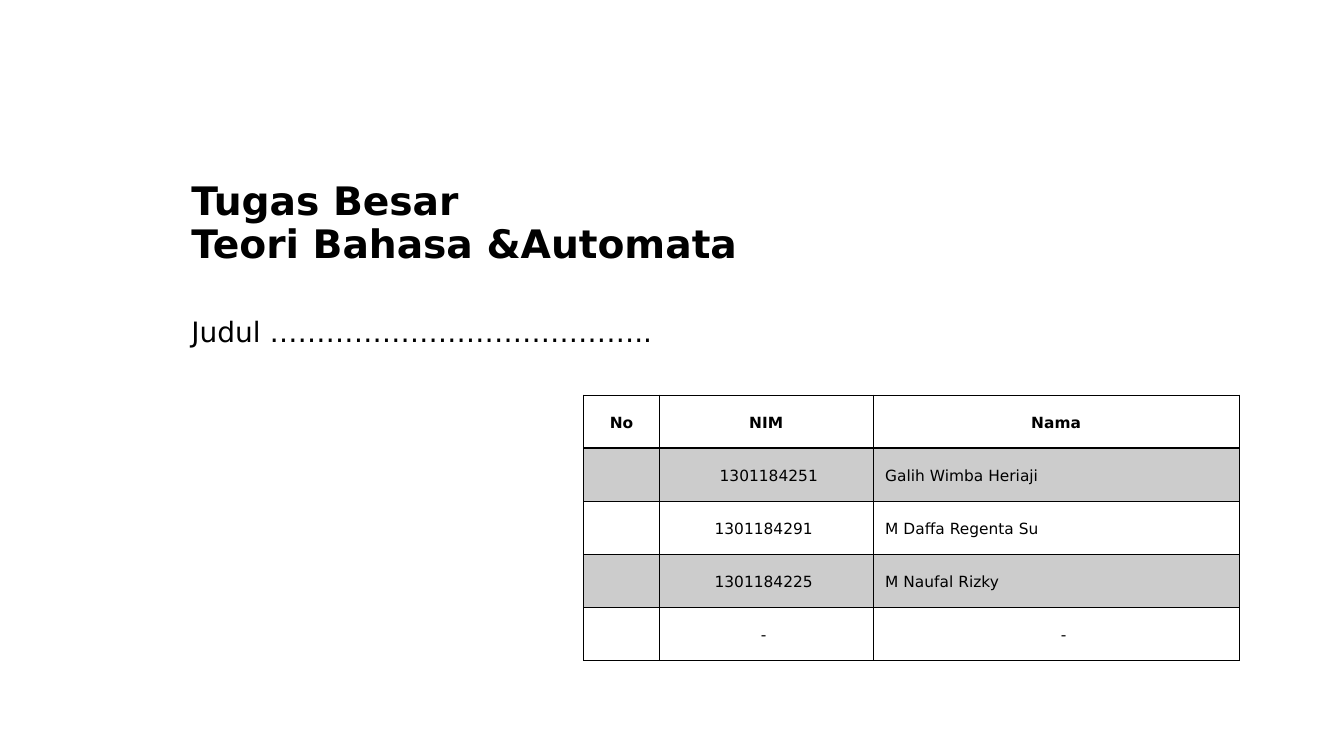
from dataclasses import dataclass

from lxml import etree
from pptx import Presentation
from pptx.dml.color import RGBColor
from pptx.enum.shapes import MSO_SHAPE
from pptx.enum.text import MSO_ANCHOR, PP_ALIGN
from pptx.oxml.ns import qn
from pptx.util import Inches, Pt

LEFT, CENTER = PP_ALIGN.LEFT, PP_ALIGN.CENTER
TOP, MIDDLE = MSO_ANCHOR.TOP, MSO_ANCHOR.MIDDLE
RECTANGLE = MSO_SHAPE.RECTANGLE
SLIDE_WIDTH, SLIDE_HEIGHT = 13.33, 7.5
HEADER_HEIGHT = 1.39


@dataclass(frozen=True)
class Theme:
    font: str = "DejaVu Sans"
    ink: str = "000000"
    paper: str = "FFFFFF"
    band: str = "CCCCCC"
    title_size: int = 28
    subtitle_size: int = 20
    table_size: int = 11
    thin_line: int = 1
    thick_line: int = 2
    cell_margin: float = 0.07


def write_text(frame, text, *, font, size, color, bold=False, align=LEFT, spacing=0.9):
    paragraph = frame.paragraphs[0]
    paragraph.text = text
    paragraph.alignment = align
    paragraph.line_spacing = spacing
    for run in paragraph.runs:
        run.font.name = font
        run.font.size = Pt(size)
        run.font.bold = bold
        run.font.color.rgb = RGBColor.from_string(color)


class SlideBuilder:
    def __init__(self, slide, theme):
        self.slide = slide
        self.theme = theme

    def add_panel(self, left, top, width, height):
        shape = self.slide.shapes.add_shape(
            RECTANGLE, Inches(left), Inches(top), Inches(width), Inches(height)
        )
        shape.shadow.inherit = False
        shape.fill.solid()
        shape.fill.fore_color.rgb = RGBColor.from_string(self.theme.paper)
        shape.line.fill.background()

    def add_text(self, text, left, top, width, height, size, bold=False, anchor=TOP):
        box = self.slide.shapes.add_textbox(
            Inches(left), Inches(top), Inches(width), Inches(height)
        )
        frame = box.text_frame
        frame.word_wrap = True
        frame.vertical_anchor = anchor
        write_text(frame, text, font=self.theme.font, size=size,
                   color=self.theme.ink, bold=bold)

    def set_borders(self, cell, bottom_width):
        properties = cell._tc.get_or_add_tcPr()
        thin = self.theme.thin_line
        widths = {"a:lnL": thin, "a:lnR": thin, "a:lnT": thin, "a:lnB": bottom_width}
        for position, (tag, width) in enumerate(widths.items()):
            line = etree.Element(qn(tag), w=str(Pt(width)))
            fill = etree.SubElement(line, qn("a:solidFill"))
            etree.SubElement(fill, qn("a:srgbClr"), val=self.theme.ink)
            properties.insert(position, line)

    def fill_cell(self, cell, text, color, bold, align, indents):
        theme = self.theme
        left_indent, right_indent = indents
        cell.fill.solid()
        cell.fill.fore_color.rgb = RGBColor.from_string(color)
        cell.vertical_anchor = MIDDLE
        cell.margin_left = Inches(theme.cell_margin + left_indent)
        cell.margin_right = Inches(theme.cell_margin + right_indent)
        cell.margin_top = cell.margin_bottom = 0
        write_text(cell.text_frame, text, font=theme.font, size=theme.table_size,
                   color=theme.ink, bold=bold, align=align, spacing=1.15)

    def add_table(self, rows, left, top, column_widths, height, formats):
        theme = self.theme
        table = self.slide.shapes.add_table(
            len(rows), len(column_widths), Inches(left), Inches(top),
            Inches(sum(column_widths)), Inches(height),
        ).table
        for column, width in zip(table.columns, column_widths):
            column.width = Inches(width)
        for row_index, row in enumerate(rows):
            header = row_index == 0
            table.rows[row_index].height = Inches(height / len(rows))
            color = theme.band if row_index % 2 else theme.paper
            for column_index, text in enumerate(row):
                cell = table.cell(row_index, column_index)
                align, indents = formats.get((row_index, column_index), (CENTER, (0, 0)))
                self.fill_cell(cell, text, color, header, align, indents)
                self.set_borders(cell, theme.thick_line if header else theme.thin_line)


def main():
    presentation = Presentation()
    presentation.slide_width = Inches(SLIDE_WIDTH)
    presentation.slide_height = Inches(SLIDE_HEIGHT)
    theme = Theme()
    builder = SlideBuilder(
        presentation.slides.add_slide(presentation.slide_layouts[6]), theme
    )

    for panel_height in (SLIDE_HEIGHT, HEADER_HEIGHT):
        builder.add_panel(0, 0, SLIDE_WIDTH, panel_height)

    builder.add_text("Tugas Besar\vTeori Bahasa &Automata", 1.8, HEADER_HEIGHT,
                     11.53, 1.67, theme.title_size, bold=True, anchor=MIDDLE)
    builder.add_text("Judul " + "…" * 13 + "..", 1.8, 3.11, 7.97, 0.36,
                     theme.subtitle_size)

    members = [
        ("No", "NIM", "Nama"),
        ("", "1301184251", "Galih Wimba Heriaji"),
        ("", "1301184291", "M Daffa Regenta Su"),
        ("", "1301184225", "M Naufal Rizky"),
        ("", "-", "-"),
    ]
    name_formats = {(row, 2): (LEFT, (0.05, 0)) for row in range(1, 4)}
    number_formats = {(row, 1): (CENTER, (0, 0.05)) for row in range(2, 5)}
    formats = {
        **name_formats,
        **number_formats,
        (1, 1): (CENTER, (0.05, 0)),
        (4, 2): (CENTER, (0.15, 0)),
    }
    builder.add_table(members, 5.79, 3.92, (0.75, 2.12, 3.63), 2.63, formats)

    presentation.save("out.pptx")


main()
